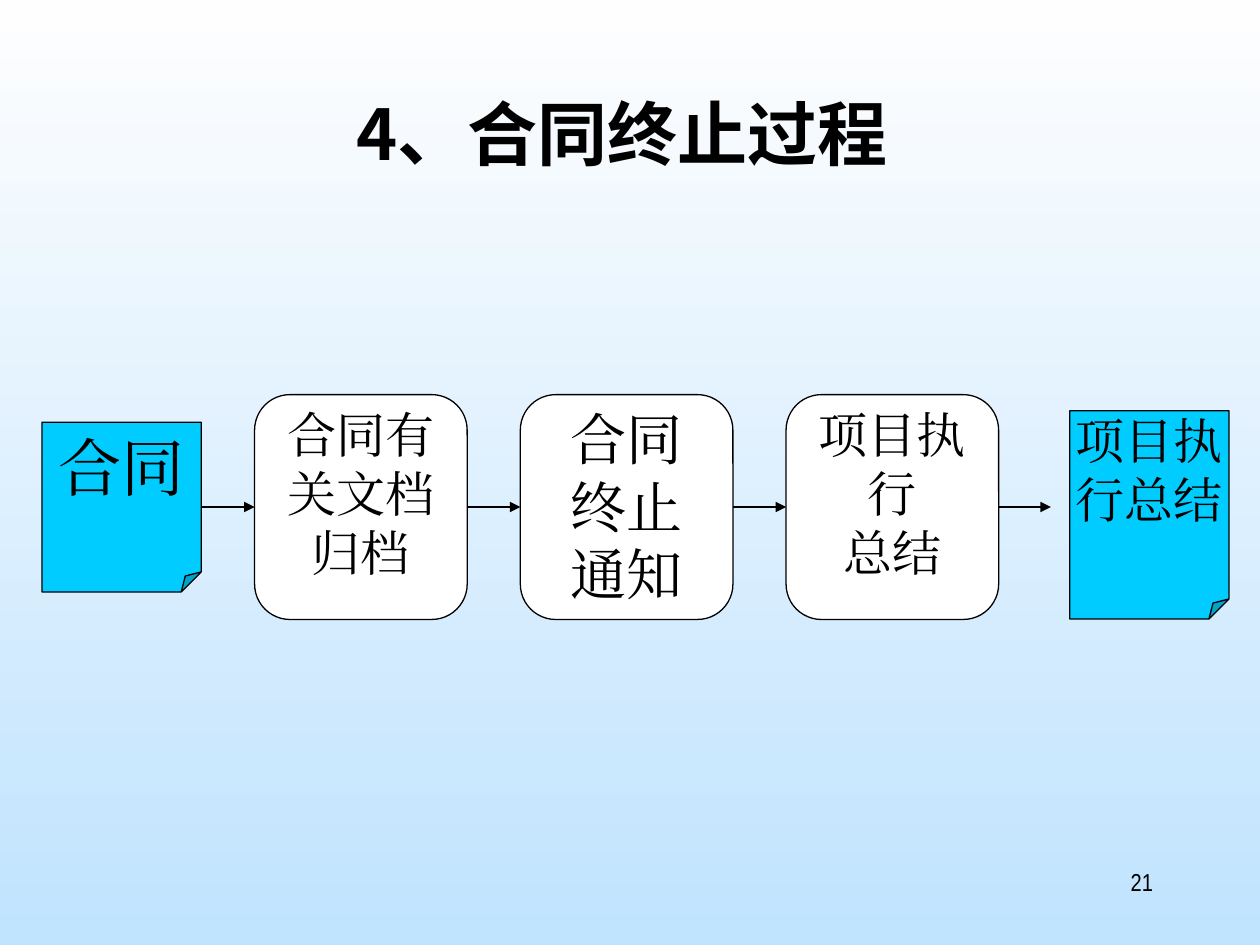
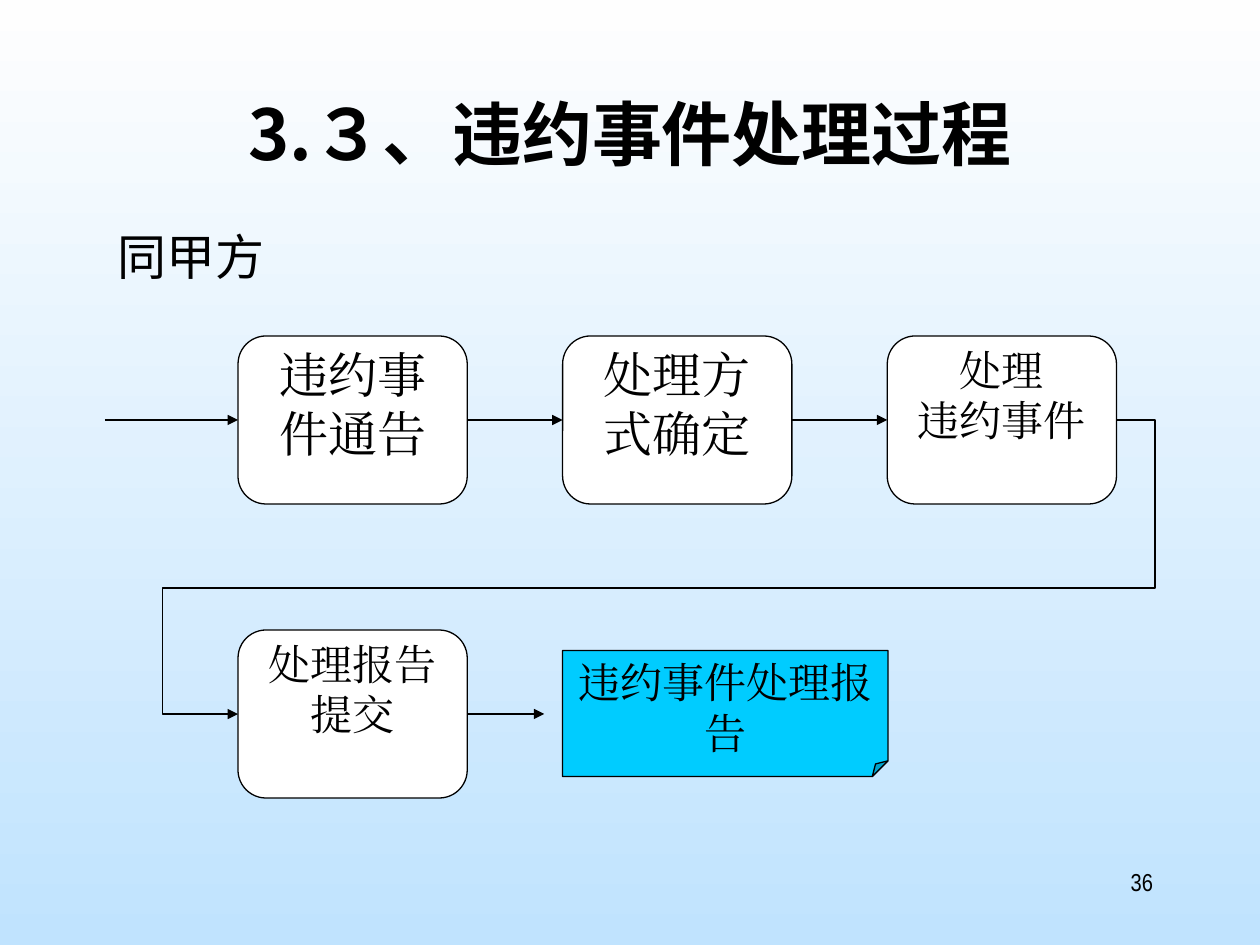
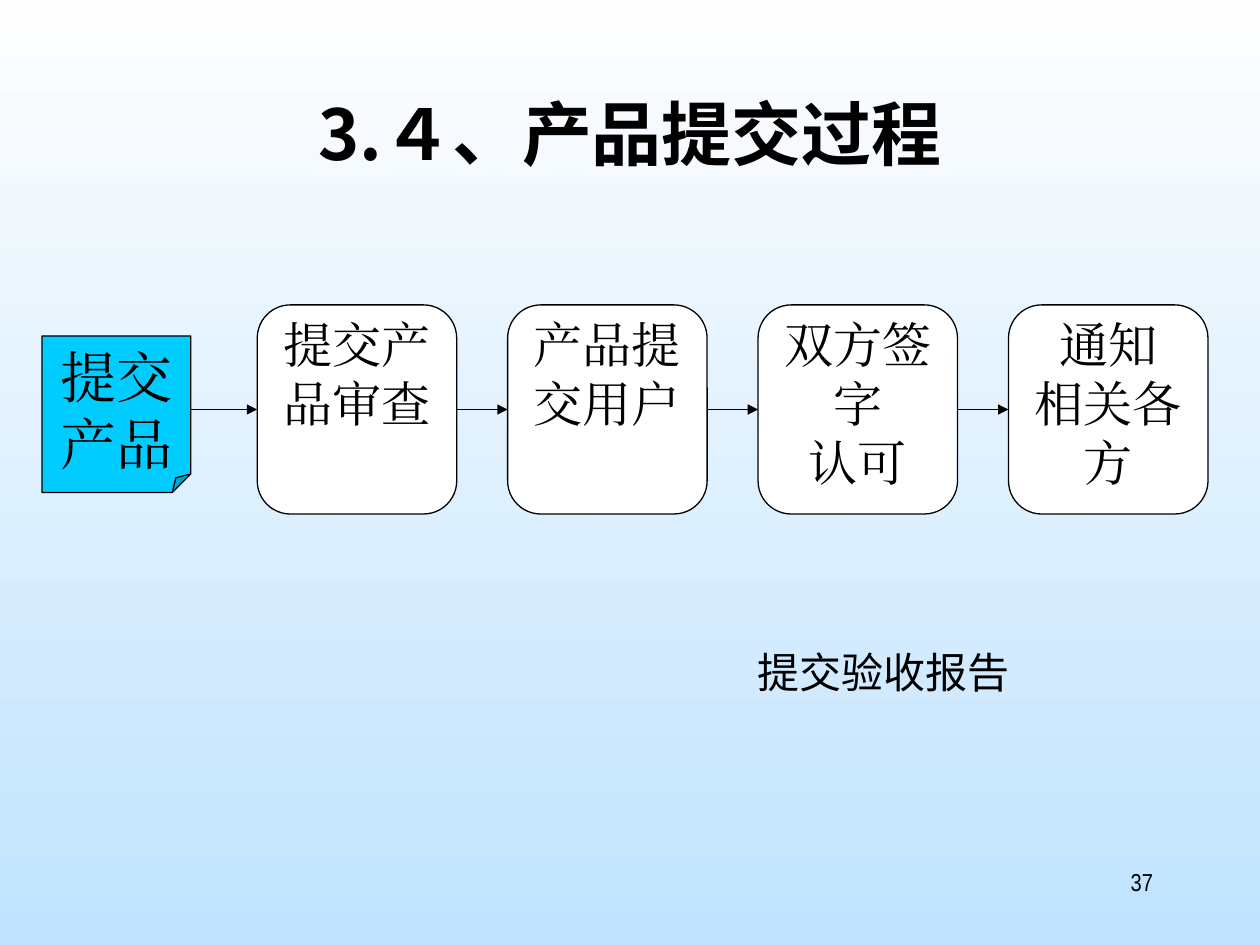
from lxml import etree
from pptx import Presentation
from pptx import util as u
from pptx.dml.color import RGBColor
from pptx.enum import shapes, text
from pptx.oxml.ns import qn

Pt = u.Pt
COLOURS = {"ink": "000000", "box": "FFFFFF", "note": "00CCFF",
           "sky_top": "FEFEFE", "sky_bottom": "C0E3FE"}
TITLE_FONT, FLOW_FONT, LABEL_FONT = "Noto Sans CJK SC", "Times New Roman", "Arial Narrow"

# Content. boxes: (column, row, text, size); notes: (left, top, width, height, text, size, inset).
# An arrow joins two step names, or a step name and an x position.
SLIDES = [
    {
        "title": "4、合同终止过程 ", "number": "21",
        "grid": {"left": 145.5, "top": 225.5, "width": 121.5, "height": 128.5,
                 "across": 151.85, "down": 0},
        "boxes": {
            "archive": (0, 0, "合同有关文档归档", 28),
            "notice": (1, 0, "合同终止通知", 32),
            "summary": (2, 0, "项目执行\n总结", 28),
        },
        "notes": {
            "contract": (24, 241.25, 91, 97, "合同", 36, 3.6),
            "report": (611.25, 234.75, 91, 119, "项目执行总结", 28, 0),
        },
        "arrows": [("contract", "archive"), ("archive", "notice"),
                   ("notice", "summary"), ("summary", 600.5)],
    },
    {
        "title": "3.３、违约事件处理过程", "number": "36",
        "label": (60, 126, 114, 41, "同甲方", 28),
        "grid": {"left": 136, "top": 192, "width": 131, "height": 96,
                 "across": 185.5, "down": 168},
        "boxes": {
            "announce": (0, 0, "违约事件通告", 28),
            "decide": (1, 0, "处理方式确定", 28),
            "handle": (2, 0, "处理\n违约事件", 24),
            "submit": (0, 1, "处理报告\n提交", 24),
        },
        "notes": {"report": (321.5, 371.75, 186, 72, "违约事件处理报告", 24, 3.6)},
        "arrows": [(60, "announce"), ("announce", "decide"),
                   ("decide", "handle"), ("submit", 311)],
        "return_path": [(638, 240), (660.25, 240), (660.25, 335.75),
                        (93, 335.75), (93, 408), (136, 408)],
    },
    {
        "title": "3.４、产品提交过程", "number": "37",
        "label": (426, 366, 174, 36, "提交验收报告", 24),
        "grid": {"left": 147, "top": 174.25, "width": 114, "height": 119.5,
                 "across": 143.1, "down": 0},
        "boxes": {
            "review": (0, 0, "提交产品审查", 28),
            "deliver": (1, 0, "产品提交用户", 28),
            "sign": (2, 0, "双方签字\n认可", 28),
            "inform": (3, 0, "通知\n相关各方", 28),
        },
        "notes": {"product": (24, 192, 85, 89.5, "提交产品", 32, 3.6)},
        "arrows": [(109, "review"), ("review", "deliver"),
                   ("deliver", "sign"), ("sign", "inform")],
    },
]


def colour(name):
    return RGBColor.from_string(COLOURS[name])


def write(shape, content, *, size, font, bold=False, align="CENTER", inset=(7.2, 3.6)):
    frame = shape.text_frame
    frame.word_wrap = True
    frame.vertical_anchor = text.MSO_ANCHOR.TOP
    frame.margin_left = frame.margin_right = Pt(inset[0])
    frame.margin_top = frame.margin_bottom = Pt(inset[1])
    frame.text = content
    for paragraph in frame.paragraphs:
        paragraph.alignment = getattr(text.PP_ALIGN, align)
        for run in paragraph.runs:
            run.font.size, run.font.name, run.font.bold = Pt(size), font, bold
            run.font.color.rgb = colour("ink")
            # East Asian characters take the same font
            east_asian = etree.SubElement(run.font._element, qn("a:ea"))
            east_asian.set("typeface", font)


def add_label(slide, frame, content, **style):
    write(slide.shapes.add_textbox(*map(Pt, frame)), content, **style)


def add_step(slide, kind, frame, fill, content, size, inset):
    shape = slide.shapes.add_shape(kind, *map(Pt, frame))
    shape.shadow.inherit = False
    shape.fill.solid()
    shape.fill.fore_color.rgb = colour(fill)
    shape.line.color.rgb = colour("ink")
    shape.line.width = Pt(0.75)
    write(shape, content, size=size, font=FLOW_FONT, inset=inset)
    return shape


def fold_corner(shape):
    # The fold is an eighth of the shorter side
    geometry = shape._element.spPr.find(qn("a:prstGeom"))
    guides = geometry.find(qn("a:avLst"))
    for guide in list(guides):
        guides.remove(guide)
    guide = etree.SubElement(guides, qn("a:gd"))
    guide.set("name", "adj")
    guide.set("fmla", "val 12500")


def style_arrow(shape):
    shape.line.color.rgb = colour("ink")
    shape.line.width = Pt(0.75)
    etree.SubElement(shape.line._get_or_add_ln(), qn("a:tailEnd")).set("type", "triangle")
    etree.SubElement(shape._element.spPr, qn("a:effectLst"))


def add_arrow(slide, steps, start, end):
    step = steps.get(start) or steps[end]
    middle = step.top + step.height // 2
    start_x = Pt(start) if start not in steps else 0
    end_x = Pt(end) if end not in steps else 0
    arrow = slide.shapes.add_connector(shapes.MSO_CONNECTOR.STRAIGHT,
                                       start_x, middle, end_x, middle)
    if start in steps:
        arrow.begin_connect(steps[start], 3)
    if end in steps:
        arrow.end_connect(steps[end], 1)
    style_arrow(arrow)


def add_return_path(slide, points):
    builder = slide.shapes.build_freeform(*points[0], scale=Pt(1))
    builder.add_line_segments(points[1:], close=False)
    shape = builder.convert_to_shape()
    shape.fill.background()
    style_arrow(shape)


def add_base(slide, title, number):
    fill = slide.background.fill
    fill.gradient()
    fill.gradient_angle = 270
    for stop, position, name in zip(fill.gradient_stops, (0, 1), ("sky_top", "sky_bottom")):
        stop.position = position
        stop.color.rgb = colour(name)
    add_label(slide, (54, 48, 612, 90), title, size=40, font=TITLE_FONT, bold=True)
    add_label(slide, (516, 492, 150, 36), number, size=14, font=LABEL_FONT, align="RIGHT")


def add_flow(slide, content):
    grid, steps = content["grid"], {}
    for name, (column, row, caption, size) in content["boxes"].items():
        frame = (grid["left"] + column * grid["across"], grid["top"] + row * grid["down"],
                 grid["width"], grid["height"])
        steps[name] = add_step(slide, shapes.MSO_SHAPE.ROUNDED_RECTANGLE, frame, "box",
                               caption, size, (7.2, 0))
    for name, (*frame, caption, size, inset) in content["notes"].items():
        steps[name] = add_step(slide, shapes.MSO_SHAPE.FOLDED_CORNER, frame, "note",
                               caption, size, (0, inset))
        fold_corner(steps[name])
    for start, end in content["arrows"]:
        add_arrow(slide, steps, start, end)
    if "return_path" in content:
        add_return_path(slide, content["return_path"])


def main():
    presentation = Presentation()
    presentation.slide_width, presentation.slide_height = Pt(720), Pt(540)
    for content in SLIDES:
        slide = presentation.slides.add_slide(presentation.slide_layouts[6])
        add_base(slide, content["title"], content["number"])
        if "label" in content:
            *frame, caption, size = content["label"]
            add_label(slide, frame, caption, size=size, font=LABEL_FONT, align="LEFT")
        add_flow(slide, content)
    presentation.save("out.pptx")


if __name__ == "__main__":
    main()
